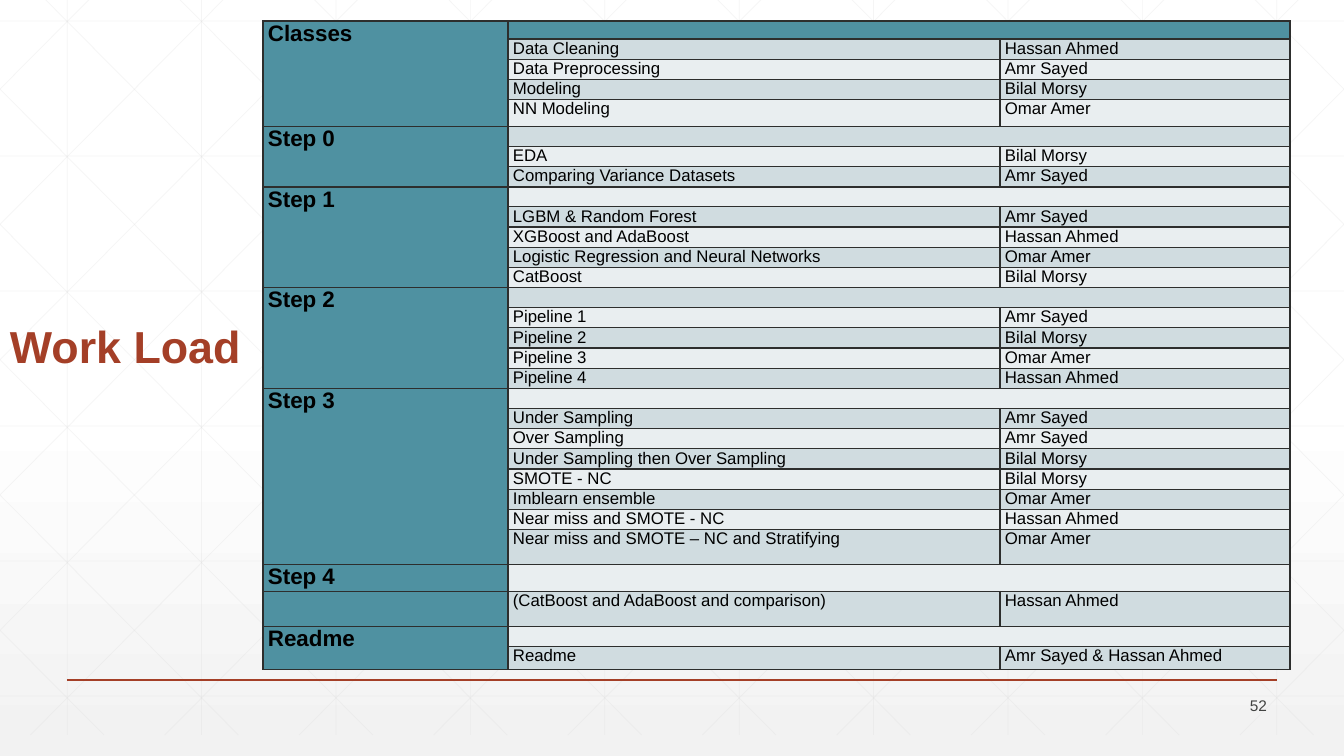
from lxml.etree import SubElement
from pptx import Presentation
from pptx.dml.color import RGBColor
from pptx.enum.shapes import MSO_CONNECTOR as Connector
from pptx.enum.text import MSO_ANCHOR as Anchor, PP_ALIGN as Align
from pptx.oxml.ns import qn
from pptx.util import Pt

TITLE = "Work Load"
PAGE_NUMBER = "52"
SECTIONS = [
    ("Classes", [
        ("Data Cleaning", "Hassan Ahmed"),
        ("Data Preprocessing", "Amr Sayed"),
        ("Modeling", "Bilal Morsy"),
        ("NN Modeling", "Omar Amer"),
    ]),
    ("Step 0", [
        ("EDA", "Bilal Morsy"),
        ("Comparing Variance Datasets", "Amr Sayed"),
    ]),
    ("Step 1", [
        ("LGBM & Random Forest", "Amr Sayed"),
        ("XGBoost and AdaBoost", "Hassan Ahmed"),
        ("Logistic Regression and Neural Networks", "Omar Amer"),
        ("CatBoost", "Bilal Morsy"),
    ]),
    ("Step 2", [
        ("Pipeline 1", "Amr Sayed"),
        ("Pipeline 2", "Bilal Morsy"),
        ("Pipeline 3", "Omar Amer"),
        ("Pipeline 4", "Hassan Ahmed"),
    ]),
    ("Step 3", [
        ("Under Sampling", "Amr Sayed"),
        ("Over Sampling", "Amr Sayed"),
        ("Under Sampling then Over Sampling", "Bilal Morsy"),
        ("SMOTE - NC", "Bilal Morsy"),
        ("Imblearn ensemble", "Omar Amer"),
        ("Near miss and SMOTE - NC", "Hassan Ahmed"),
        ("Near miss and SMOTE – NC and Stratifying", "Omar Amer"),
    ]),
    ("Step 4", [("(CatBoost and AdaBoost and comparison)", "Hassan Ahmed")]),
    ("Readme", [("Readme", "Amr Sayed & Hassan Ahmed")]),
]
UNMERGED = {"Step 4"}

PX = 914400 / 100.8
WIDTH, HEIGHT = 1344, 756
TABLE_LEFT, TABLE_TOP = 263, 21
COLUMNS = [245, 492, 290]
ROW_HEIGHT = 20
SPECIAL_HEIGHTS = {0: 18, 4: 27, 25: 35, 26: 27, 27: 35, 29: 23}
GRID_TOP, GRID_BOTTOM, GRID_ROW = -21, 735, 135
GRID_COLUMN = WIDTH / 10
DIAGONAL_START, DIAGONAL_RUN = 25, 751

TEAL, BANDS, BORDER = "4F91A1", ("E9EEF0", "D0DCE0"), "2D2E2D"
RUST, GRID, BLACK, GREY = "A43F27", "D9D9D9", "000000", "424342"
LABEL = {"size": Pt(16), "bold": True}
ENTRY = {"size": Pt(12), "bold": False}


def emu(px):
    return round(px * PX)


def rgb(value):
    return RGBColor.from_string(value)


def add_line(page, start, end, color, width, opacity=None):
    line = page.shapes.add_connector(Connector.STRAIGHT, *map(emu, (*start, *end)))
    line.line.color.rgb = rgb(color)
    line.line.width = Pt(width)
    properties = line._element.spPr
    if opacity:
        tint = properties.find(".//" + qn("a:srgbClr"))
        SubElement(tint, qn("a:alpha"), val=str(opacity * 1000))
    SubElement(properties, qn("a:effectLst"))


def write(frame, text, color, font, **layout):
    para = frame.paragraphs[0]
    for name, value in layout.items():
        setattr(para, name, value)
    span = para.add_run()
    span.text = text
    span.font.name = "Arial"
    span.font.color.rgb = rgb(color)
    for name, value in font.items():
        setattr(span.font, name, value)


def add_text(page, place, text, color, font, anchor, **layout):
    frame = page.shapes.add_textbox(*map(emu, place)).text_frame
    frame.word_wrap = True
    frame.vertical_anchor = anchor
    write(frame, text, color, font, **layout)


def style_cell(cell, fill):
    cell.margin_left = cell.margin_right = emu(5)
    cell.margin_top = cell.margin_bottom = 0
    properties = cell._tc.get_or_add_tcPr()
    for side in ("lnL", "lnR", "lnT", "lnB"):
        edge = SubElement(properties, qn("a:" + side), w=str(Pt(1)))
        solid = SubElement(edge, qn("a:solidFill"))
        SubElement(solid, qn("a:srgbClr"), val=BORDER)
    cell.fill.solid()
    cell.fill.fore_color.rgb = rgb(fill)


def fill_cell(cell, text, font):
    if text:
        write(cell.text_frame, text, BLACK, font)
    else:
        SubElement(cell.text_frame.paragraphs[0]._p, qn("a:endParaRPr"), sz="800")


def add_background(page):
    fill = page.background.fill
    fill.gradient()
    fill.gradient_angle = 270
    for stop, (position, color) in zip(fill.gradient_stops, [(0.53, "FFFFFF"), (1, "F2F2F2")]):
        stop.position = position
        stop.color.rgb = rgb(color)


def add_grid(page):
    lines = []
    for column in range(10):
        x = (column + 0.5) * GRID_COLUMN
        lines.append(((x, GRID_TOP), (x, GRID_BOTTOM)))
    for row in range(6):
        y = -GRID_TOP + row * GRID_ROW
        lines.append(((0, y), (WIDTH, y)))
    slope = (GRID_BOTTOM - GRID_TOP) / DIAGONAL_RUN
    for step in range(-5, 10):
        origin = DIAGONAL_START + step * GRID_COLUMN
        ends = [(x, GRID_TOP + (x - origin) * slope)
                for x in (max(origin, 0), min(origin + DIAGONAL_RUN, WIDTH))]
        lines.append(ends)
        lines.append([(WIDTH - x, y) for x, y in ends])
    for start, end in lines:
        add_line(page, start, end, GRID, 0.5, 25)


def add_work_table(page):
    rows = []
    for label, tasks in SECTIONS:
        rows.append((label, "", ""))
        rows += [("", task, person) for task, person in tasks]
    heights = [SPECIAL_HEIGHTS.get(index, ROW_HEIGHT) for index in range(len(rows))]
    place = (TABLE_LEFT, TABLE_TOP, sum(COLUMNS), sum(heights))
    table = page.shapes.add_table(len(rows), len(COLUMNS), *map(emu, place)).table
    table.first_row = table.horz_banding = False
    for column, width in zip(table.columns, COLUMNS):
        column.width = emu(width)
    for index, texts in enumerate(rows):
        table.rows[index].height = emu(heights[index])
        for column, text in enumerate(texts):
            cell = table.cell(index, column)
            style_cell(cell, TEAL if index == 0 or column == 0 else BANDS[index % 2])
            fill_cell(cell, text, ENTRY if column else LABEL)
    top = 0
    for label, tasks in SECTIONS:
        table.cell(top, 1).merge(table.cell(top, 2))
        if label not in UNMERGED:
            table.cell(top, 0).merge(table.cell(top + len(tasks), 0))
        top += len(tasks) + 1


def main():
    deck = Presentation()
    deck.slide_width, deck.slide_height = emu(WIDTH), emu(HEIGHT)
    page = deck.slides.add_slide(deck.slide_layouts[6])
    add_background(page)
    add_grid(page)
    add_line(page, (67, 680), (1277, 680), RUST, 1)
    add_text(page, (0, 317, 263, 61), TITLE, RUST, {"size": Pt(32), "bold": True},
             Anchor.BOTTOM, line_spacing=0.9)
    add_text(page, (1176, 693, 101, 24), PAGE_NUMBER, GREY, {"size": Pt(11)},
             Anchor.MIDDLE, alignment=Align.RIGHT)
    add_work_table(page)
    deck.save("out.pptx")


if __name__ == "__main__":
    main()
